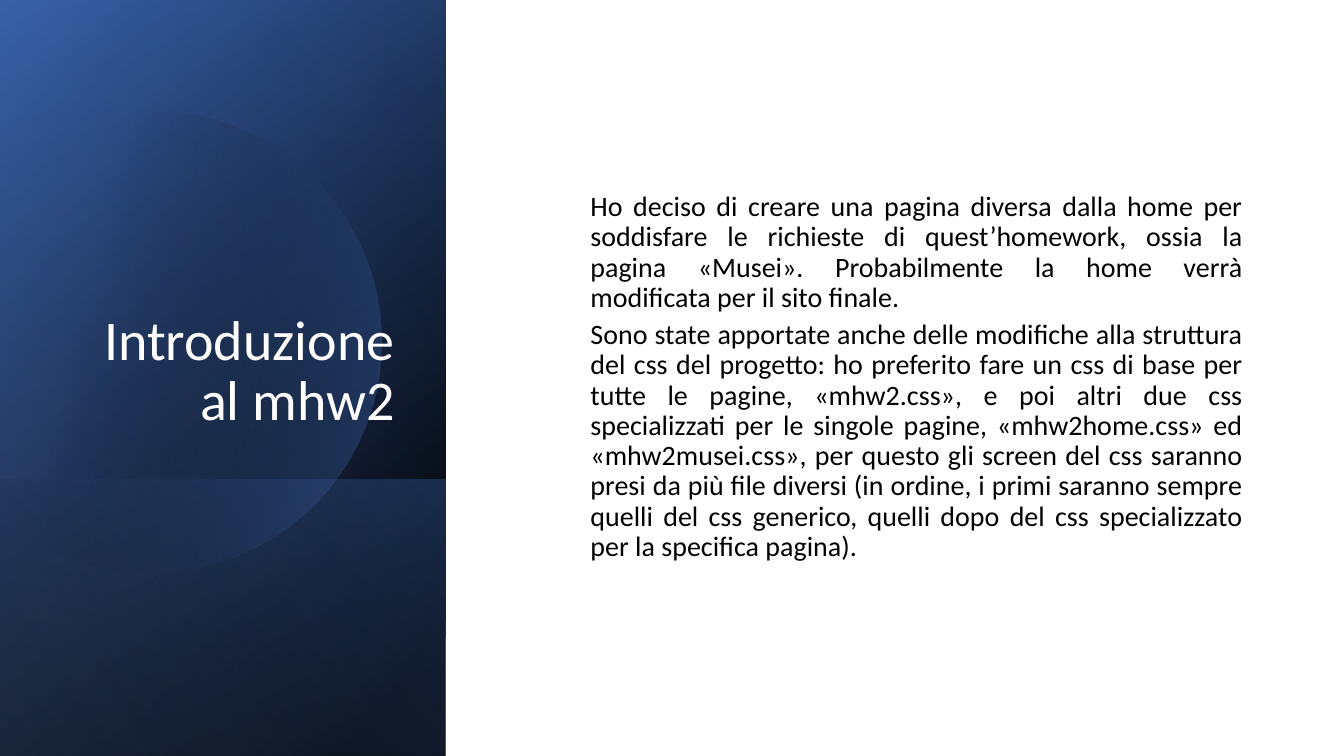
"""Build the introduction slide: a blue gradient side panel with a title, and body text."""
from dataclasses import dataclass
from math import cos, radians, sin

from lxml import etree
from pptx import Presentation
from pptx import util as u
from pptx.dml.color import RGBColor
from pptx.enum import shapes, text
from pptx.oxml import ns

SLIDE_WIDTH, SLIDE_HEIGHT = 33.87, 19.05
PANEL_WIDTH = 11.23
BAND_TOP = 12.09
DISC_X, DISC_Y, DISC_RADIUS = 3.78, 8.61, 5.82


@dataclass
class Stop:
    position: int
    color: str
    opacity: int = 100


@dataclass
class Layer:
    top: float
    angle: int
    stops: tuple[Stop, Stop]


@dataclass
class Passage:
    left: float
    top: float
    width: float
    height: float
    anchor: text.MSO_ANCHOR
    align: text.PP_ALIGN
    size: int
    color: str
    indent: float
    paragraphs: tuple[str, ...]


BASE_LAYERS = (
    Layer(0, 50, (Stop(8, "000000"), Stop(100, "2F5597"))),
    Layer(0, 30, (Stop(0, "000000", 0), Stop(99, "4472C4", 46))),
    Layer(BAND_TOP, 130, (Stop(2, "4472C4", 29), Stop(100, "000000", 30))),
)
DISC_STOPS = (Stop(29, "000000", 0), Stop(100, "4472C4", 43))
SHEEN = Layer(0, 120, (Stop(0, "000000", 0), Stop(99, "8FAADC", 11)))

PASSAGES = (
    Passage(1.3, 1.63, 8.89, 9.4, text.MSO_ANCHOR.BOTTOM, text.PP_ALIGN.RIGHT,
            40, "FFFFFF", 0, ("Introduzione al mhw2",)),
    Passage(13.36, 1.8, 18.21, 15.42, text.MSO_ANCHOR.MIDDLE, text.PP_ALIGN.JUSTIFY,
            20, "000000", 1.27, (
                "Ho deciso di creare una pagina diversa dalla home per soddisfare le "
                "richieste di quest’homework, ossia la pagina «Musei». Probabilmente la "
                "home verrà modificata per il sito finale.",
                "Sono state apportate anche delle modifiche alla struttura del css del "
                "progetto: ho preferito fare un css di base per tutte le pagine, "
                "«mhw2.css», e poi altri due css specializzati per le singole pagine, "
                "«mhw2home.css» ed «mhw2musei.css», per questo gli screen del css saranno "
                "presi da più file diversi (in ordine, i primi saranno sempre quelli del "
                "css generico, quelli dopo del css specializzato per la specifica pagina).",
            )),
)


def rgb(value: str) -> RGBColor:
    return RGBColor.from_string(value)


def apply_format(target, values: dict) -> None:
    for name, value in values.items():
        setattr(target, name, value)


def make_plain(shape) -> None:
    shape.shadow.inherit = False
    shape.line.fill.background()


def fill_gradient(shape, stops: tuple[Stop, Stop], angle: int) -> None:
    make_plain(shape)
    shape.fill.gradient()
    gradient = shape._element.spPr.find(ns.qn("a:gradFill"))
    for child in list(gradient):
        gradient.remove(child)
    stop_list = etree.SubElement(gradient, ns.qn("a:gsLst"))
    for stop in stops:
        entry = etree.SubElement(stop_list, ns.qn("a:gs"), pos=str(stop.position * 1000))
        color = etree.SubElement(entry, ns.qn("a:srgbClr"), val=stop.color)
        if stop.opacity < 100:
            etree.SubElement(color, ns.qn("a:alpha"), val=str(stop.opacity * 1000))
    etree.SubElement(gradient, ns.qn("a:lin"), ang=str(angle * 60000), scaled="0")


def draw_layer(slide, layer: Layer) -> None:
    length = SLIDE_HEIGHT - layer.top
    left = (PANEL_WIDTH - length) / 2
    top = layer.top + (length - PANEL_WIDTH) / 2
    panel = slide.shapes.add_shape(shapes.MSO_SHAPE.RECTANGLE, u.Cm(left), u.Cm(top),
                                   u.Cm(length), u.Cm(PANEL_WIDTH))
    panel.rotation = 90
    panel._element.spPr.find(ns.qn("a:xfrm")).set("flipH", "1")
    fill_gradient(panel, layer.stops, layer.angle)


def draw_disc(slide) -> None:
    rim = [(u.Cm(DISC_X + DISC_RADIUS * cos(radians(turn))),
            u.Cm(DISC_Y + DISC_RADIUS * sin(radians(turn))))
           for turn in range(-135, 136, 3)]
    builder = slide.shapes.build_freeform(*rim[0])
    builder.add_line_segments(rim[1:], close=True)
    fill_gradient(builder.convert_to_shape(), DISC_STOPS, 14)


def draw_passage(slide, passage: Passage) -> None:
    box = slide.shapes.add_textbox(u.Cm(passage.left), u.Cm(passage.top),
                                   u.Cm(passage.width), u.Cm(passage.height))
    frame = box.text_frame
    apply_format(frame, {"word_wrap": True, "vertical_anchor": passage.anchor})
    for index, wording in enumerate(passage.paragraphs):
        paragraph = frame.add_paragraph() if index else frame.paragraphs[0]
        paragraph.text = wording
        apply_format(paragraph, {"alignment": passage.align, "line_spacing": 0.9,
                                 "space_before": u.Pt(5 if index else 0)})
        paragraph._p.get_or_add_pPr().set("marL", str(u.Cm(passage.indent)))
        apply_format(paragraph.font, {"name": "Calibri", "size": u.Pt(passage.size)})
        paragraph.font.color.rgb = rgb(passage.color)


def main() -> None:
    deck = Presentation()
    apply_format(deck, {"slide_width": u.Cm(SLIDE_WIDTH), "slide_height": u.Cm(SLIDE_HEIGHT)})
    slide = deck.slides.add_slide(deck.slide_layouts[6])
    backdrop = slide.shapes.add_shape(shapes.MSO_SHAPE.RECTANGLE, 0, 0,
                                      deck.slide_width, deck.slide_height)
    make_plain(backdrop)
    backdrop.fill.solid()
    backdrop.fill.fore_color.rgb = rgb("FFFFFF")
    for layer in BASE_LAYERS:
        draw_layer(slide, layer)
    draw_disc(slide)
    draw_layer(slide, SHEEN)
    for passage in PASSAGES:
        draw_passage(slide, passage)
    deck.save("out.pptx")


if __name__ == "__main__":
    main()
